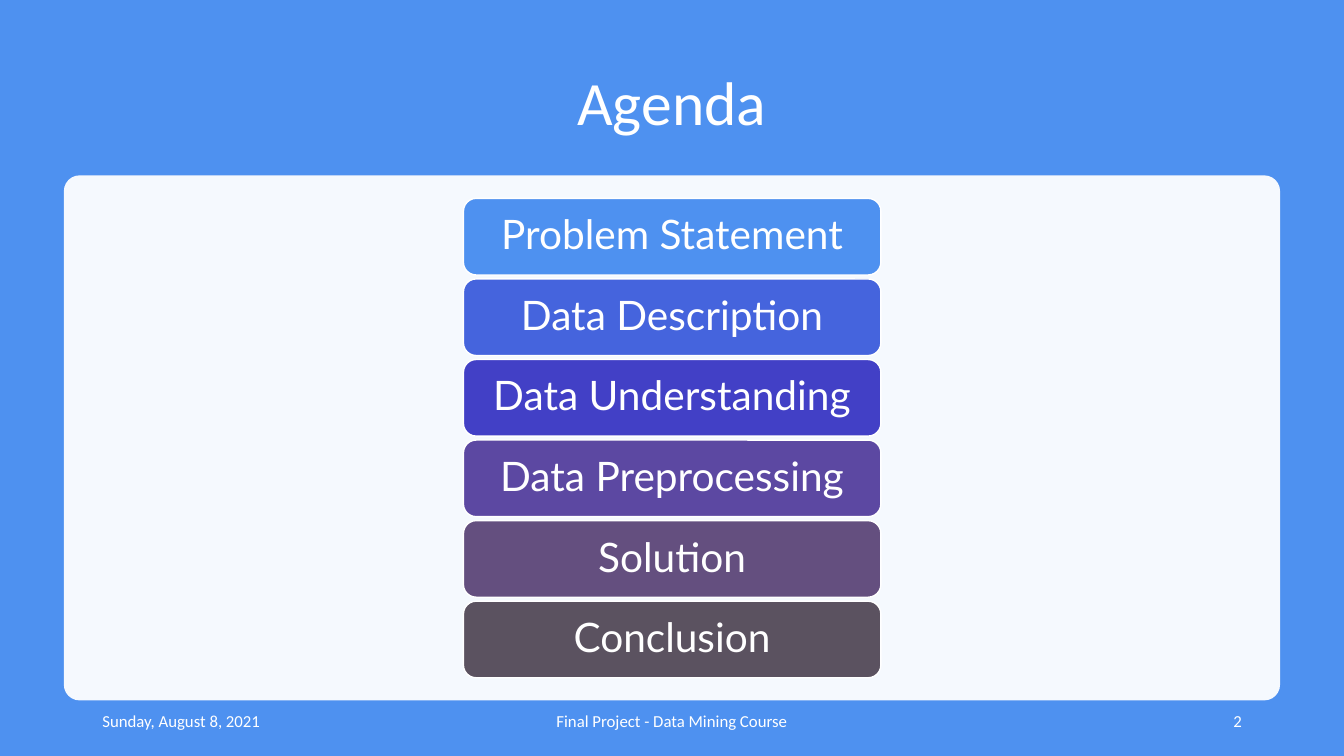
import pptx
import pptx.dml.color
import pptx.enum.shapes
import pptx.enum.text
import pptx.oxml
import pptx.oxml.ns
import pptx.util
from pptx.util import Cm

RGBColor = pptx.dml.color.RGBColor
Align = pptx.enum.text.PP_ALIGN

WHITE = RGBColor(0xFF, 0xFF, 0xFF)
SKY = RGBColor(0x4E, 0x91, 0xF0)
ROYAL = RGBColor(0x45, 0x64, 0xDD)
INDIGO = RGBColor(0x42, 0x40, 0xC6)
VIOLET = RGBColor(0x5C, 0x48, 0xA2)
PLUM = RGBColor(0x64, 0x4F, 0x7F)
SLATE = RGBColor(0x5B, 0x52, 0x60)

AGENDA = [
    ("Problem Statement", SKY),
    ("Data Description", ROYAL),
    ("Data Understanding", INDIGO),
    ("Data Preprocessing", VIOLET),
    ("Solution", PLUM),
    ("Conclusion", SLATE),
]
FIRST_TOP = 5
PITCH = 2.03

FOOTERS = [
    ("Sunday, August 8, 2021", 2.33, 7.62, Align.LEFT),
    ("Final Project - Data Mining Course", 11.22, 11.43, Align.CENTER),
    ("2", 23.93, 7.62, Align.RIGHT),
]


def write(frame, wording, size, font, align, line_spacing=1.0):
    frame.word_wrap = True
    frame.vertical_anchor = pptx.enum.text.MSO_ANCHOR.MIDDLE
    paragraph = frame.paragraphs[0]
    paragraph.text = wording
    paragraph.alignment = align
    paragraph.line_spacing = line_spacing
    paragraph.font.size = pptx.util.Pt(size)
    paragraph.font.name = font
    paragraph.font.color.rgb = WHITE


def place_title(slide, wording):
    title = slide.shapes.title
    title.left, title.top = Cm(2.33), Cm(1.27)
    title.width, title.height = Cm(29.21), Cm(2.79)
    write(title.text_frame, wording, 44, "Calibri", Align.CENTER, 0.9)


def add_rounded(slide, left, top, width, height, color):
    rounded = slide.shapes.add_shape(
        pptx.enum.shapes.MSO_SHAPE.ROUNDED_RECTANGLE,
        Cm(left), Cm(top), Cm(width), Cm(height))
    rounded.shadow.inherit = False
    rounded.fill.solid()
    rounded.fill.fore_color.rgb = color
    return rounded


def add_panel(slide):
    panel = add_rounded(slide, 1.61, 4.42, 30.65, 13.23, WHITE)
    panel.adjustments[0] = 0.03
    panel.line.fill.background()
    color = panel.fill._xPr.find(".//" + pptx.oxml.ns.qn("a:srgbClr"))
    alpha = pptx.oxml.parse_xml(
        f'<a:alpha {pptx.oxml.ns.nsdecls("a")} val="95000"/>')
    color.append(alpha)


def add_agenda_item(slide, wording, top, color):
    item = add_rounded(slide, 11.68, top, 10.52, 1.93, color)
    item.line.color.rgb = WHITE
    item.line.width = pptx.util.Pt(1)
    frame = item.text_frame
    frame.margin_left = frame.margin_right = Cm(0.3)
    frame.margin_top = frame.margin_bottom = Cm(0.15)
    write(frame, wording, 29, "Lato", Align.CENTER, 0.9)


def add_footer(slide, wording, left, width, align):
    footer = slide.shapes.add_textbox(Cm(left), Cm(17.65), Cm(width), Cm(1.02))
    write(footer.text_frame, wording, 12, "Calibri", align)


def main():
    deck = pptx.Presentation()
    deck.slide_width, deck.slide_height = Cm(33.87), Cm(19.05)
    slide = deck.slides.add_slide(deck.slide_layouts.get_by_name("Title Only"))
    slide.background.fill.solid()
    slide.background.fill.fore_color.rgb = SKY

    place_title(slide, "Agenda")
    add_panel(slide)
    for wording, left, width, align in FOOTERS:
        add_footer(slide, wording, left, width, align)
    for row, (wording, color) in enumerate(AGENDA):
        add_agenda_item(slide, wording, FIRST_TOP + row * PITCH, color)

    deck.save("out.pptx")


if __name__ == "__main__":
    main()
